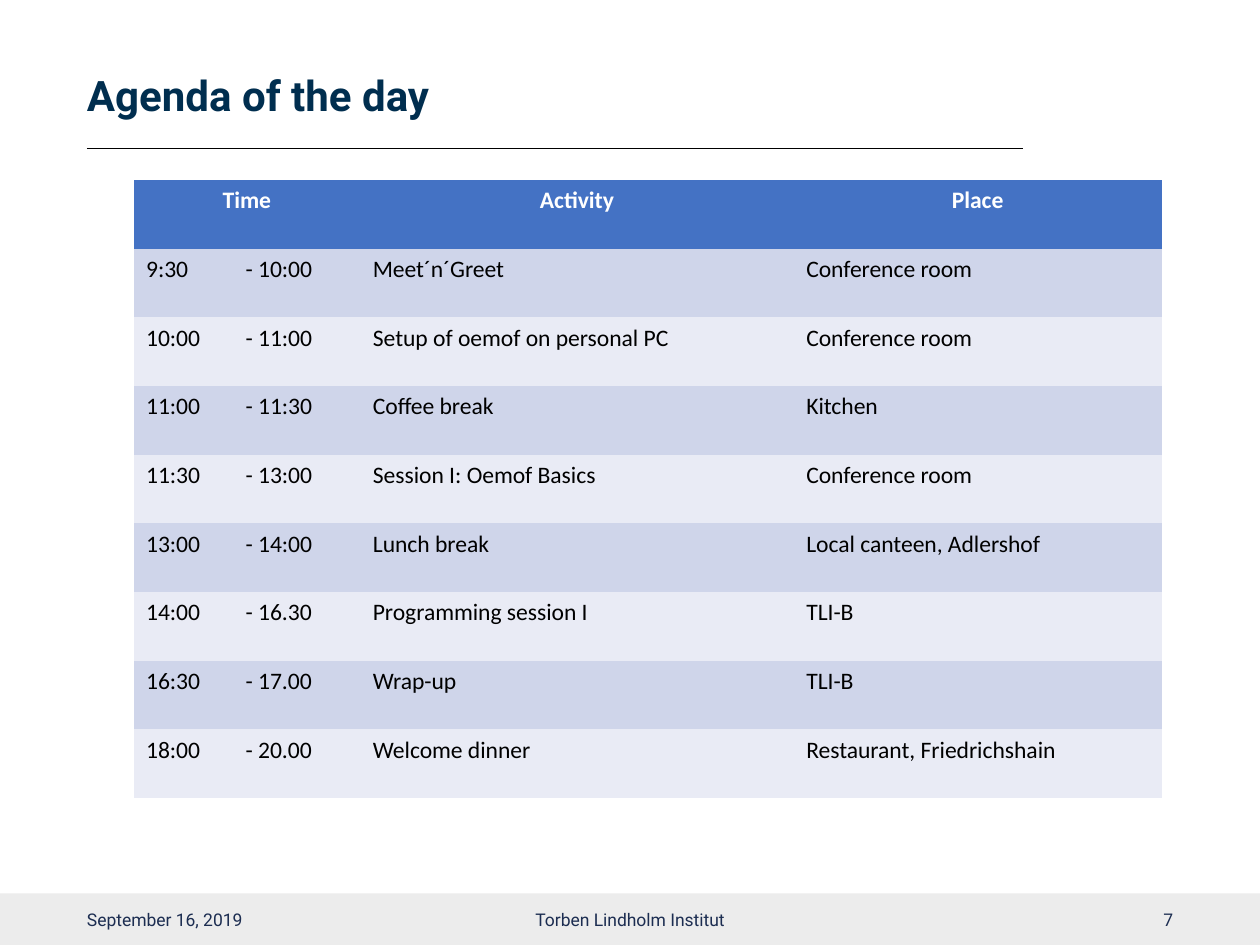
"""Build the agenda slide with its timetable and footer."""
from lxml.etree import SubElement
from pptx import Presentation
from pptx.dml.color import RGBColor
from pptx.enum.shapes import MSO_CONNECTOR, MSO_SHAPE
from pptx.enum.text import MSO_ANCHOR, MSO_AUTO_SIZE, PP_ALIGN
from pptx.oxml.ns import qn
from pptx.util import Inches, Pt

TITLE = "Agenda of the day"
HEADER = ("Time", "", "Activity", "Place")
SESSIONS = [
    ("9:30", "- 10:00", "Meet´n´Greet", "Conference room"),
    ("10:00", "- 11:00", "Setup of oemof on personal PC", "Conference room"),
    ("11:00", "- 11:30", "Coffee break", "Kitchen"),
    ("11:30", "- 13:00", "Session I: Oemof Basics", "Conference room"),
    ("13:00", "- 14:00", "Lunch break", "Local canteen, Adlershof"),
    ("14:00", "- 16.30", "Programming session I", "TLI-B"),
    ("16:30", "- 17.00", "Wrap-up", "TLI-B"),
    ("18:00", "- 20.00", "Welcome dinner", "Restaurant, Friedrichshain"),
]
FOOTER = [
    ("September 16, 2019", 0.69, 2.25, PP_ALIGN.LEFT, 0, 0.1),
    ("Torben Lindholm Institut", 3.31, 3.38, PP_ALIGN.CENTER, 0.1, 0.1),
    ("7", 7.06, 2.25, PP_ALIGN.RIGHT, 0, 0),
]
COLORS = {
    "title": "002E4F", "footer": "1C2D51", "bar": "ECECEC", "rule": "000000",
    "header": "4472C4", "odd": "CFD5EA", "even": "E9EBF5",
    "header_text": "FFFFFF", "body_text": "000000",
}
WIDTH, HEIGHT = 10, 7.5
MARGIN, TITLE_TOP, TITLE_WIDTH, TITLE_HEIGHT = 0.69, 0.38, 7.43, 0.8
BAR_HEIGHT = 0.41
TABLE_LEFT, TABLE_TOP, ROW_HEIGHT = 1.06, 1.43, 0.545
COLUMN_WIDTHS = (0.79, 1.01, 3.44, 2.92)
PLAIN_TABLE_STYLE = "{2D5ABB26-0587-4C30-8999-92F81FD0307C}"


def color(name):
    return RGBColor.from_string(COLORS[name])


def write(frame, text, font, size, color_name, align, bold=False):
    para = frame.paragraphs[0]
    para.alignment = align
    span = para.add_run()
    span.text = text
    span.font.name, span.font.size, span.font.bold = font, Pt(size), bold
    span.font.color.rgb = color(color_name)
    return para


def prepare(frame, left, right):
    frame.word_wrap = True
    frame.auto_size = MSO_AUTO_SIZE.NONE
    frame.vertical_anchor = MSO_ANCHOR.MIDDLE
    frame.margin_left, frame.margin_right = Inches(left), Inches(right)


def add_title(page):
    title = page.shapes.title
    title.left, title.top = Inches(MARGIN), Inches(TITLE_TOP)
    title.width, title.height = Inches(TITLE_WIDTH), Inches(TITLE_HEIGHT)
    prepare(title.text_frame, 0, 0.1)
    para = write(title.text_frame, TITLE, "Roboto", 24, "title", PP_ALIGN.LEFT, True)
    para.line_spacing = 0.9
    rule_y = Inches(TITLE_TOP + TITLE_HEIGHT)
    rule = page.shapes.add_connector(
        MSO_CONNECTOR.STRAIGHT, Inches(MARGIN), rule_y, Inches(MARGIN + TITLE_WIDTH), rule_y)
    rule.line.color.rgb = color("rule")
    rule.line.width = Pt(0.5)
    SubElement(rule._element.spPr, qn("a:effectLst"))


def add_footer(page):
    top = Inches(HEIGHT - BAR_HEIGHT)
    bar = page.shapes.add_shape(
        MSO_SHAPE.RECTANGLE, 0, top, Inches(WIDTH), Inches(BAR_HEIGHT))
    bar.shadow.inherit = False
    bar.fill.solid()
    bar.fill.fore_color.rgb = color("bar")
    bar.line.fill.background()
    for text, left, width, align, inset_left, inset_right in FOOTER:
        box = page.shapes.add_textbox(Inches(left), top, Inches(width), Inches(BAR_HEIGHT))
        prepare(box.text_frame, inset_left, inset_right)
        write(box.text_frame, text, "Roboto", 10, "footer", align)


def add_agenda(page):
    rows = [HEADER, *SESSIONS]
    table = page.shapes.add_table(
        len(rows), len(COLUMN_WIDTHS), Inches(TABLE_LEFT), Inches(TABLE_TOP),
        Inches(sum(COLUMN_WIDTHS)), Inches(ROW_HEIGHT * len(rows))).table
    table._tbl.tblPr.find(qn("a:tableStyleId")).text = PLAIN_TABLE_STYLE
    for column, width in zip(table.columns, COLUMN_WIDTHS):
        column.width = Inches(width)
    table.cell(0, 0).merge(table.cell(0, 1))
    for row, texts in enumerate(rows):
        table.rows[row].height = Inches(ROW_HEIGHT)
        is_header = row == 0
        fill = "header" if is_header else ("even", "odd")[row % 2]
        ink = "header_text" if is_header else "body_text"
        align = PP_ALIGN.CENTER if is_header else PP_ALIGN.LEFT
        for column, text in enumerate(texts):
            cell = table.cell(row, column)
            cell.fill.solid()
            cell.fill.fore_color.rgb = color(fill)
            if text:
                write(cell.text_frame, text, "Calibri", 13.5, ink, align, is_header)


def main():
    deck = Presentation()
    deck.slide_width, deck.slide_height = Inches(WIDTH), Inches(HEIGHT)
    page = deck.slides.add_slide(deck.slide_layouts[5])
    add_title(page)
    add_footer(page)
    add_agenda(page)
    deck.save("out.pptx")


if __name__ == "__main__":
    main()
